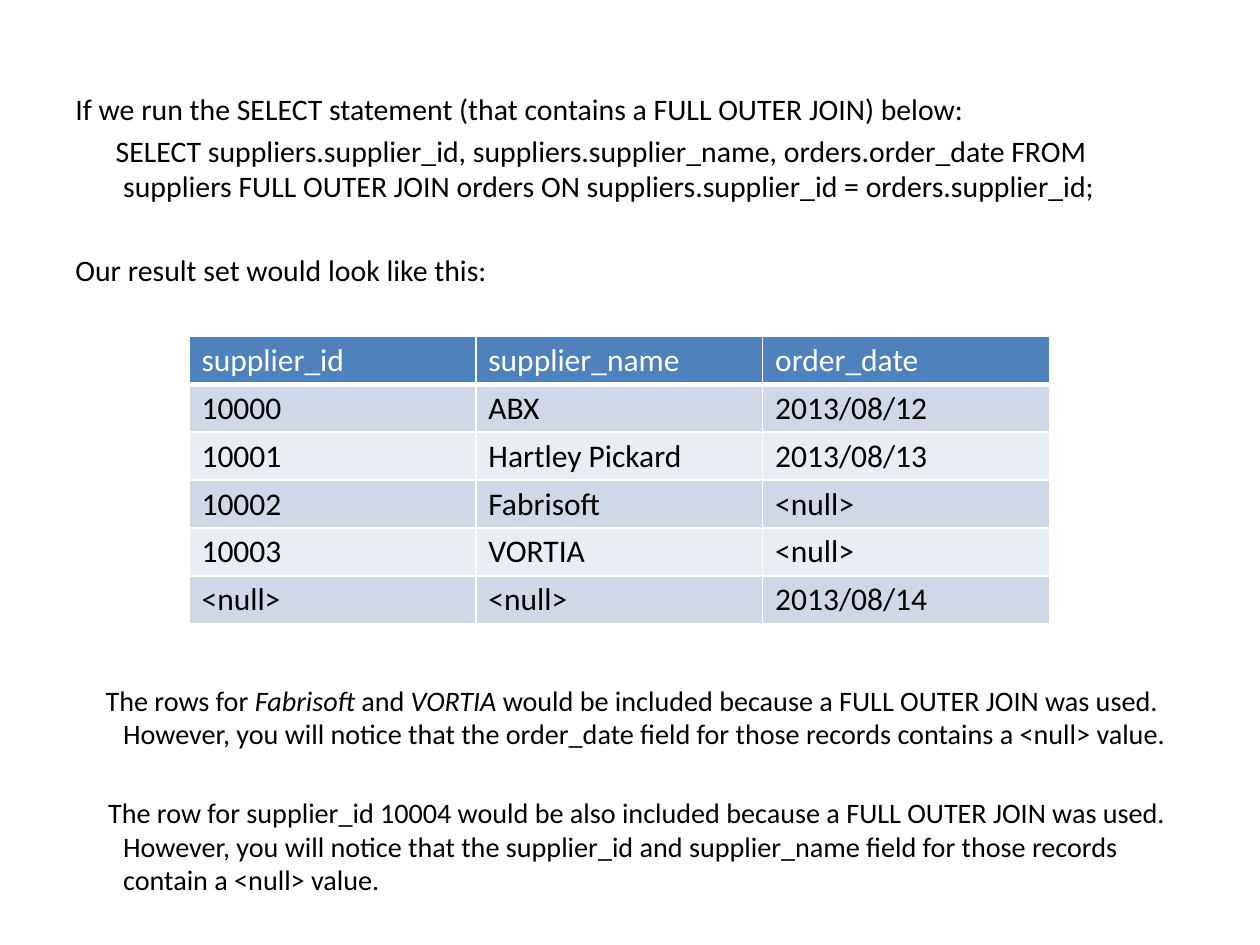
import pptx
import pptx.util
import pptx.dml.color
import pptx.enum.text
import pptx.oxml
import pptx.oxml.ns
from pptx.util import Inches

COLORS = {"text": "000000", "white": "FFFFFF", "header": "4F81BD",
          "odd": "D0D8E8", "even": "E9EDF4"}


def rgb(name):
    return pptx.dml.color.RGBColor.from_string(COLORS[name])


def add_run(p, text, size=17, color="text", italic=False, font="Calibri"):
    r = p.add_run()
    r.text = text
    r.font.name = font
    r.font.size = pptx.util.Pt(size)
    r.font.italic = italic
    r.font.color.rgb = rgb(color)
    return r


class Deck:
    hanging = 0.38

    def __init__(self, width, height):
        self.prs = pptx.Presentation()
        self.prs.slide_width = Inches(width)
        self.prs.slide_height = Inches(height)
        self.s = None

    def slide(self):
        self.s = self.prs.slides.add_slide(self.prs.slide_layouts[6])

    def text(self, x, y, w, h, paragraphs, size):
        tf = self.s.shapes.add_textbox(Inches(x), Inches(y), Inches(w), Inches(h)).text_frame
        tf.word_wrap = True
        for i, (indent, before, runs) in enumerate(paragraphs):
            p = tf.paragraphs[0] if i == 0 else tf.add_paragraph()
            p.space_before = pptx.util.Pt(before)
            pPr = p._p.get_or_add_pPr()
            pPr.set("marL", str(Inches(self.hanging)))
            pPr.set("indent", str(Inches(indent)))
            for text, italic in runs:
                add_run(p, text, size=size, italic=italic)

    def border(self, cell, side, width):
        ns = pptx.oxml.ns.nsdecls("a")
        line = pptx.oxml.parse_xml(
            f'<a:{side} {ns} w="{pptx.util.Pt(width)}"><a:solidFill>'
            f'<a:srgbClr val="{COLORS["white"]}"/></a:solidFill></a:{side}>')
        return line

    def table(self, x, y, w, row_height, rows):
        n, m = len(rows), len(rows[0])
        tbl = self.s.shapes.add_table(n, m, Inches(x), Inches(y), Inches(w),
                                      Inches(row_height * n)).table
        for i, row in enumerate(rows):
            fill = "header" if i == 0 else "odd" if i % 2 else "even"
            for j, text in enumerate(row):
                cell = tbl.cell(i, j)
                cell.fill.solid()
                cell.fill.fore_color.rgb = rgb(fill)
                cell.vertical_anchor = pptx.enum.text.MSO_ANCHOR.MIDDLE
                cell.margin_top = cell.margin_bottom = Inches(0.04)
                add_run(cell.text_frame.paragraphs[0], text, size=18,
                        color="text" if i else "white")
                widths = {"lnL": 1, "lnR": 1, "lnT": 3 if i == 1 else 1,
                          "lnB": 1 if i else 3}
                tcPr = cell._tc.get_or_add_tcPr()
                for k, (side, width) in enumerate(widths.items()):
                    tcPr.insert(k, self.border(cell, side, width))


deck = Deck(10, 7.5)
deck.slide()
deck.text(0.5, 0.67, 9, 1.8, [
    (-0.38, 0, [("If we run the SELECT statement (that contains a FULL OUTER JOIN) below:", False)]),
    (-0.06, 3.4, [("SELECT suppliers.supplier_id, suppliers.supplier_name, orders.order_date FROM "
                   "suppliers FULL OUTER JOIN orders ON suppliers.supplier_id = orders.supplier_id;", False)]),
    (-0.38, 27.5, [("Our result set would look like this:", False)]),
], size=17)
deck.table(1.5, 2.67, 6.83, 0.38, [
    ("supplier_id", "supplier_name", "order_date"),
    ("10000", "ABX", "2013/08/12"),
    ("10001", "Hartley Pickard", "2013/08/13"),
    ("10002", "Fabrisoft", "<null>"),
    ("10003", "VORTIA", "<null>"),
    ("<null>", "<null>", "2013/08/14"),
])
deck.text(0.5, 5.37, 9, 1.82, [
    (-0.14, 0, [("The rows for ", False), ("Fabrisoft", True), (" and ", False), ("VORTIA", True),
                (" would be included because a FULL OUTER JOIN was used. However, you will notice "
                 "that the order_date field for those records contains a <null> value.", False)]),
    (-0.12, 25.5, [("The row for supplier_id 10004 would be also included because a FULL OUTER JOIN "
                    "was used. However, you will notice that the supplier_id and supplier_name field "
                    "for those records contain a <null> value.", False)]),
], size=16.1)
deck.prs.save("out.pptx")
